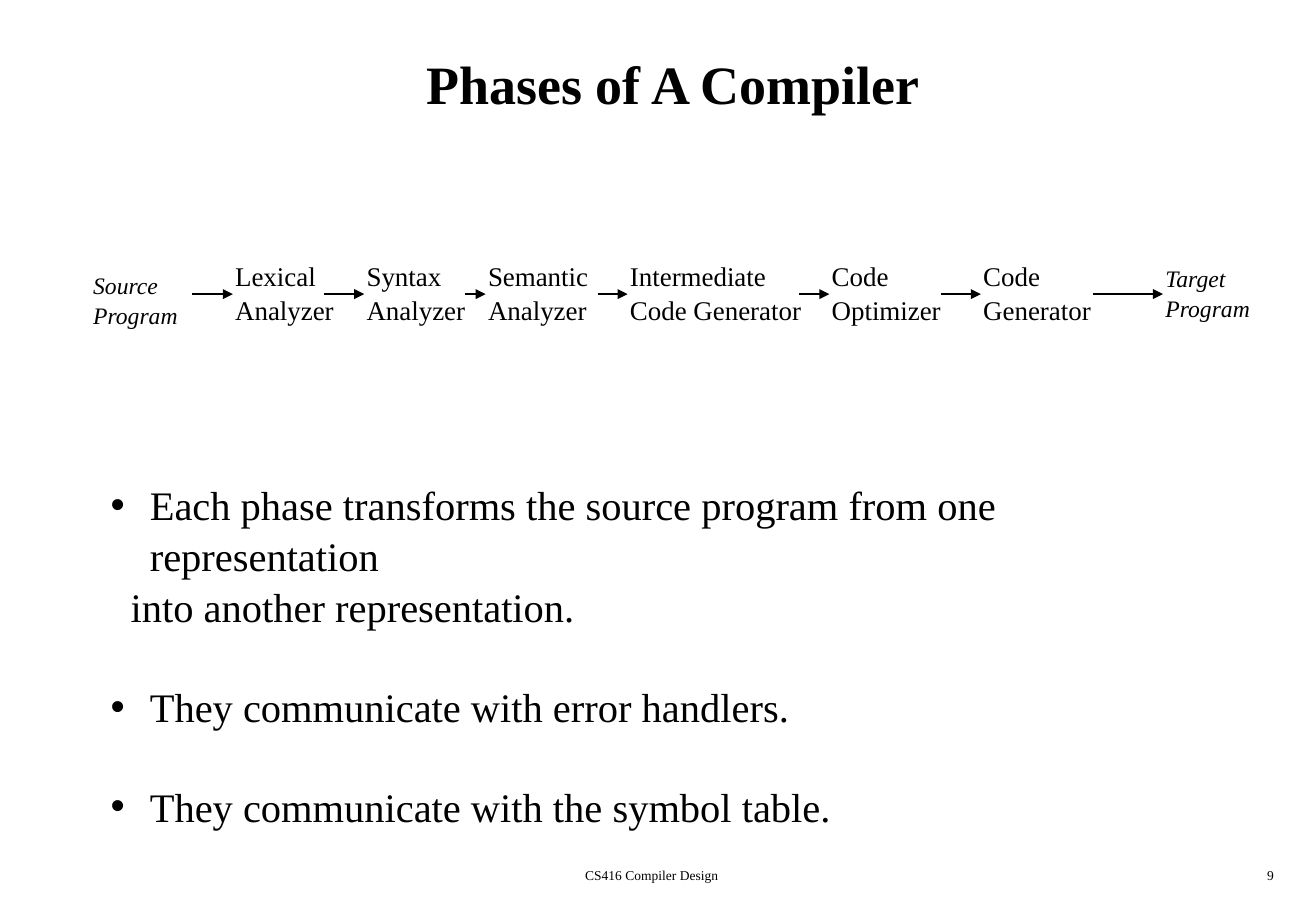
from lxml.etree import SubElement
from pptx import Presentation
from pptx.dml.color import RGBColor
from pptx.enum.shapes import MSO_CONNECTOR as Connector
from pptx.enum.text import MSO_ANCHOR as Anchor, MSO_AUTO_SIZE as AutoSize, PP_ALIGN as Align
from pptx.oxml.ns import qn
from pptx.util import Cm, Pt

BLACK = RGBColor(0, 0, 0)
WHITE = RGBColor(255, 255, 255)
FONT = "Times New Roman"

TITLE_FONT = {"size": Pt(32), "bold": True}
PHASE_FONT = {"size": Pt(16)}
PROGRAM_FONT = {"size": Pt(14), "italic": True}
LIST_FONT = {"size": Pt(24)}
FOOTER_FONT = {"size": Pt(8)}

LINE_SPACING = 1.05
ARROW_Y = 6.15
ARROW_OVERLAP = 0.2

# Text, left, top, width, height, font, start of the arrow leading in (cm)
STAGES = [
    ("Source\nProgram", 1.7, 5.51, 2.29, 1.45, PROGRAM_FONT, None),
    ("Lexical\nAnalyzer", 4.67, 5.28, 2.57, 1.63, PHASE_FONT, 4.01),
    ("Syntax\nAnalyzer", 7.42, 5.28, 2.57, 1.63, PHASE_FONT, 6.78),
    ("Semantic\nAnalyzer", 9.96, 5.28, 2.74, 1.63, PHASE_FONT, 9.73),
    ("Intermediate\nCode Generator", 12.93, 5.28, 4.09, 1.63, PHASE_FONT, 12.5),
    ("Code\nOptimizer", 17.15, 5.28, 2.79, 1.63, PHASE_FONT, 16.71),
    ("Code\nGenerator", 20.32, 5.28, 3.18, 1.63, PHASE_FONT, 19.69),
    ("Target\nProgram", 24.13, 5.36, 2.29, 1.45, PROGRAM_FONT, 22.86),
]

# Text, left margin, first-line indent (cm), bulleted, space before (pt)
REMARKS = [
    ("Each phase transforms the source program from one representation",
     0.82, -0.82, True, 0),
    ("into another representation.", 0.42, 0, False, 0),
    ("They communicate with error handlers.", 0.82, -0.82, True, 29),
    ("They communicate with the symbol table.", 0.82, -0.82, True, 29),
]


def apply_format(target, values):
    for name, value in values.items():
        setattr(target, name, value)


def format_paragraph(paragraph, font, align=Align.LEFT, space_before=0):
    apply_format(paragraph, {"alignment": align, "line_spacing": LINE_SPACING,
                             "space_before": Pt(space_before), "space_after": Pt(0)})
    apply_format(paragraph.font, {"name": FONT, **font})
    paragraph.font.color.rgb = BLACK


def place(shape, left, top, width, height):
    apply_format(shape, {"left": Cm(left), "top": Cm(top),
                         "width": Cm(width), "height": Cm(height)})


def add_label(slide, text, left, top, width, height, font, align=Align.LEFT):
    label = slide.shapes.add_textbox(Cm(left), Cm(top), Cm(width), Cm(height))
    frame = label.text_frame
    frame.word_wrap = True
    if align == Align.LEFT:
        frame.margin_right = 0
    frame.text = text
    for paragraph in frame.paragraphs:
        format_paragraph(paragraph, font, align)


def add_arrow(slide, start, end):
    arrow = slide.shapes.add_connector(
        Connector.STRAIGHT, Cm(start), Cm(ARROW_Y), Cm(end), Cm(ARROW_Y))
    arrow.line.color.rgb = BLACK
    arrow.line.width = Pt(0.75)
    properties = arrow._element.spPr
    SubElement(properties.find(qn("a:ln")), qn("a:tailEnd"), type="triangle")
    SubElement(properties, qn("a:effectLst"))


def set_bullet(paragraph, margin, indent, bulleted):
    properties = paragraph._p.get_or_add_pPr()
    properties.set("marL", str(Cm(margin)))
    properties.set("indent", str(Cm(indent)))
    if bulleted:
        colour = SubElement(properties, qn("a:buClr"))
        SubElement(colour, qn("a:srgbClr"), val=str(BLACK))
        SubElement(properties, qn("a:buChar"), char="•")
    else:
        SubElement(properties, qn("a:buNone"))


def fill_title(slide, text):
    title = slide.shapes.title
    place(title, 1.07, 0.43, 26.03, 2.54)
    apply_format(title.text_frame, {"text": text, "vertical_anchor": Anchor.MIDDLE,
                                    "auto_size": AutoSize.NONE})
    format_paragraph(title.text_frame.paragraphs[0], TITLE_FONT, Align.CENTER)


def fill_remarks(slide, remarks):
    body = slide.placeholders[1]
    place(body, 2.06, 9.86, 23.93, 7.2)
    frame = body.text_frame
    apply_format(frame, {"text": "\n".join(remark[0] for remark in remarks),
                         "vertical_anchor": Anchor.TOP, "word_wrap": True,
                         "auto_size": AutoSize.NONE})
    for paragraph, remark in zip(frame.paragraphs, remarks):
        _, margin, indent, bulleted, space_before = remark
        set_bullet(paragraph, margin, indent, bulleted)
        format_paragraph(paragraph, LIST_FONT, space_before=space_before)


def main():
    deck = Presentation()
    apply_format(deck, {"slide_width": Cm(27.53), "slide_height": Cm(19.05)})
    slide = deck.slides.add_slide(deck.slide_layouts[1])
    slide.background.fill.solid()
    slide.background.fill.fore_color.rgb = WHITE

    fill_title(slide, "Phases of A Compiler")

    # Compiler pipeline
    for text, left, top, width, height, font, arrow_start in STAGES:
        add_label(slide, text, left, top, width, height, font)
        if arrow_start is not None:
            add_arrow(slide, arrow_start, left + ARROW_OVERLAP)

    fill_remarks(slide, REMARKS)

    # Footer
    add_label(slide, "CS416 Compiler Design", 8.48, 17.98, 10.31, 0.64,
              FOOTER_FONT, Align.CENTER)
    add_label(slide, "9", 21.16, 17.98, 5.74, 0.64, FOOTER_FONT, Align.RIGHT)

    deck.save("out.pptx")


if __name__ == "__main__":
    main()
